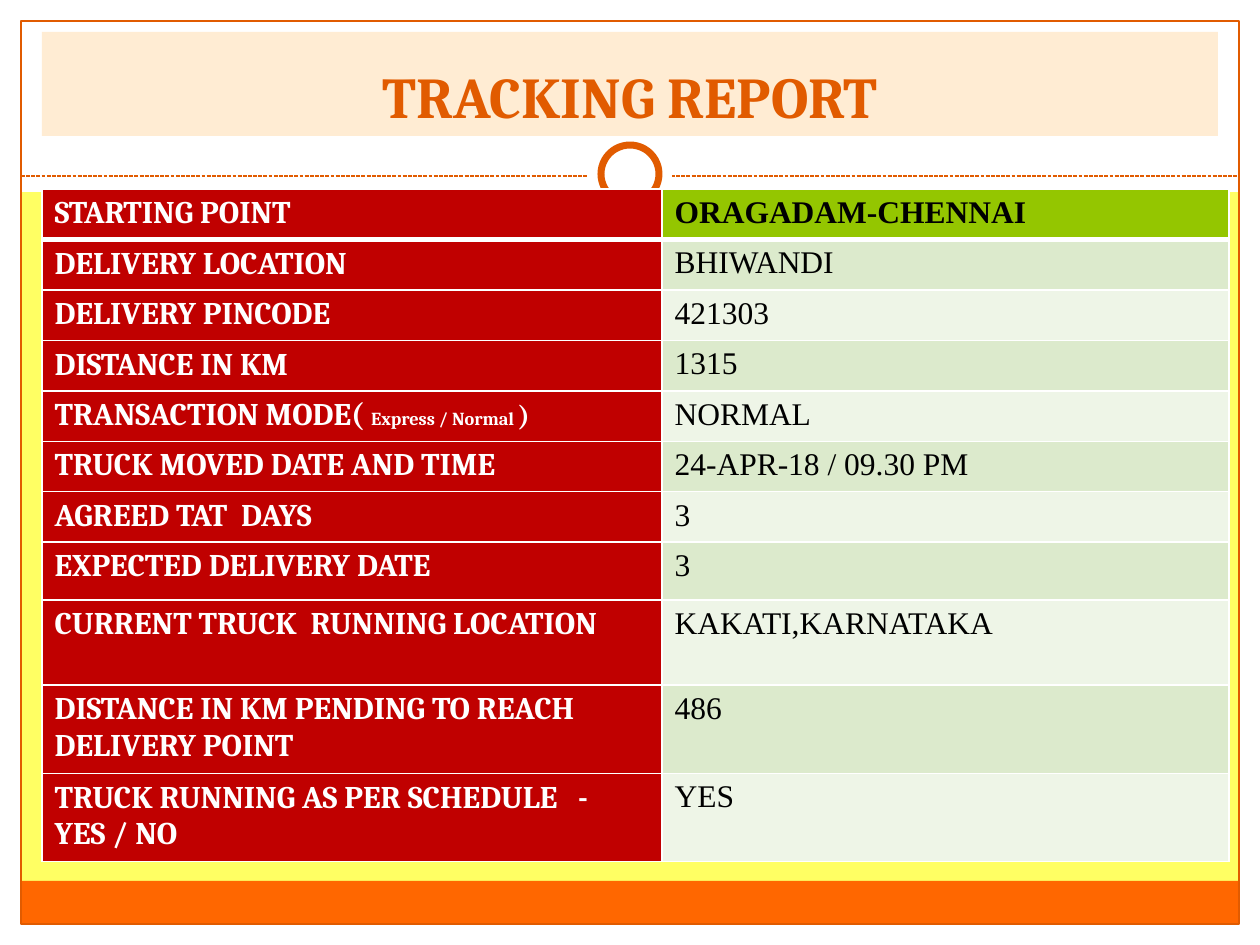
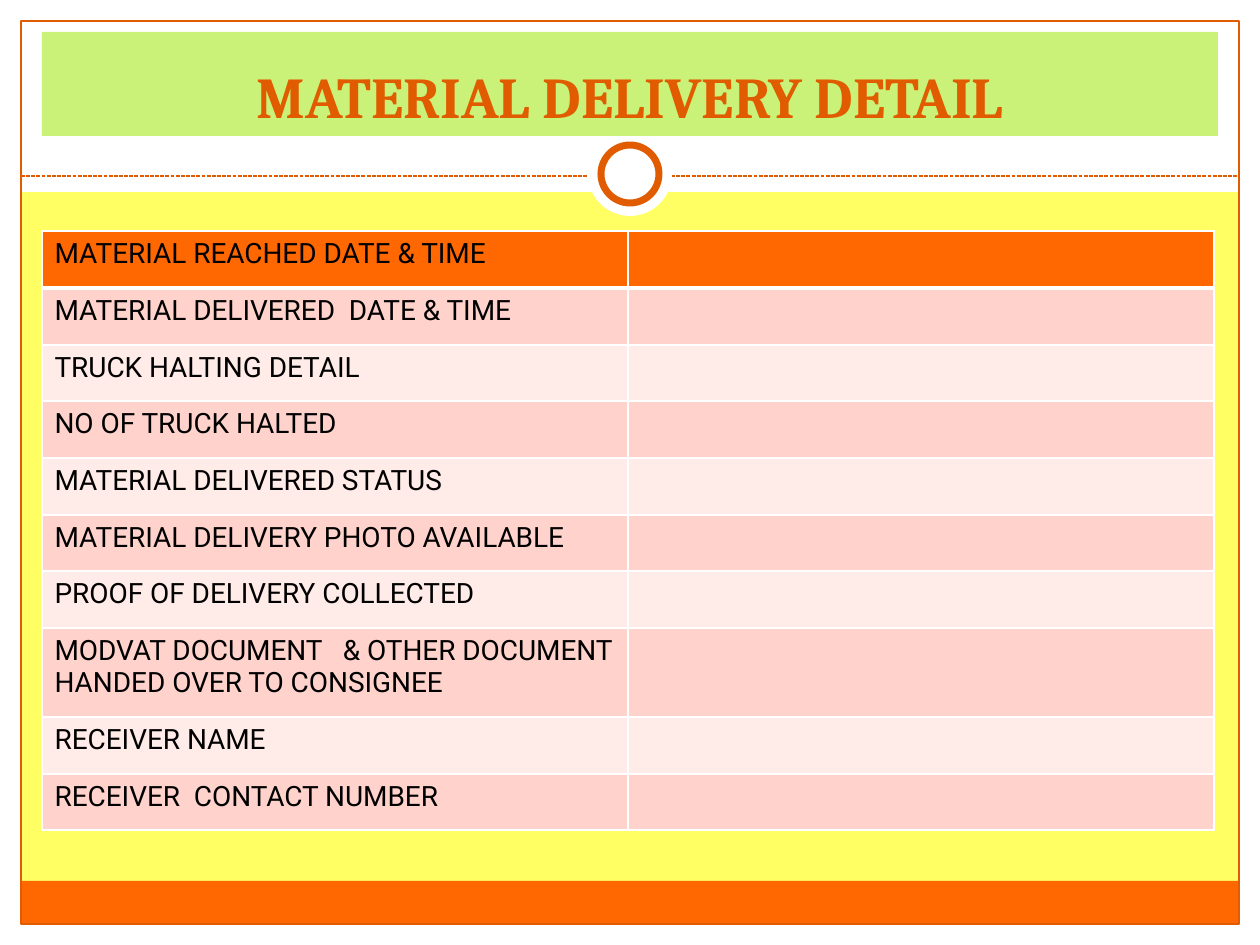
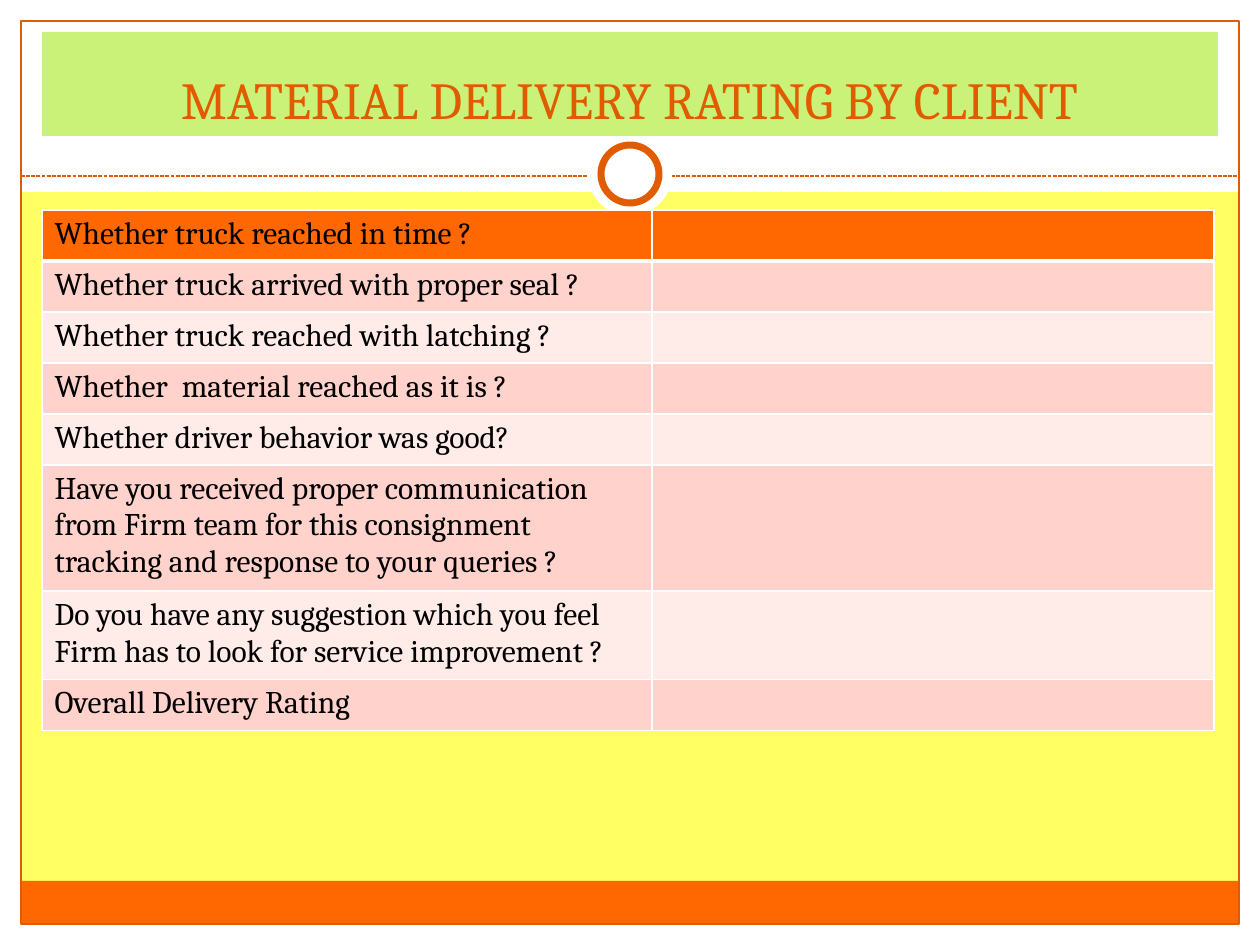
import pptx
import pptx.dml.color
import pptx.enum.dml
import pptx.enum.shapes
import pptx.enum.text
import pptx.oxml
import pptx.oxml.ns
import pptx.util
import lxml.etree

EMU_PER_PX = 914400 // 126
SLIDE_WIDTH, SLIDE_HEIGHT = 1260, 945
MARGIN = 21
HEADER_HEIGHT = 192
DIVIDER_TOP = 176
FOOTER_HEIGHT = 43
HALO_SIZE, RING_SIZE = 84, 58
TITLE_BOX = (42, 32, 1176, 104)

WHITE, BLACK, YELLOW = "FFFFFF", "000000", "FFFF63"
ORANGE, DARK_ORANGE, RED = "FF6700", "E15B00", "C00000"
PEACH, LIME, GREEN = "FFECD3", "CAF278", "94C600"
GREEN_BANDS = ("DCEACC", "EEF5E7")
PINK_BANDS = ("FFD3CC", "FFEBE7")

TRACKING_ROWS = [
    ("STARTING POINT", "ORAGADAM-CHENNAI"),
    ("DELIVERY LOCATION", "BHIWANDI"),
    ("DELIVERY PINCODE", "421303"),
    ("DISTANCE IN KM", "1315"),
    ([("TRANSACTION MODE( ", 18), ("Express / Normal ", 10.5), (")", 16)], "NORMAL"),
    ("TRUCK MOVED DATE AND TIME", "24-APR-18 / 09.30 PM"),
    ("AGREED TAT  DAYS", "3"),
    ("EXPECTED DELIVERY DATE", "3"),
    ("CURRENT TRUCK  RUNNING LOCATION", "KAKATI,KARNATAKA"),
    ("DISTANCE IN KM PENDING TO REACH DELIVERY POINT", "486"),
    ("TRUCK RUNNING AS PER SCHEDULE   -  YES / NO", "YES"),
]
DELIVERY_LABELS = [
    "MATERIAL REACHED DATE & TIME",
    "MATERIAL DELIVERED  DATE & TIME",
    "TRUCK HALTING DETAIL",
    "NO OF TRUCK HALTED",
    "MATERIAL DELIVERED STATUS",
    "MATERIAL DELIVERY PHOTO AVAILABLE",
    "PROOF OF DELIVERY COLLECTED",
    "MODVAT DOCUMENT   & OTHER DOCUMENT HANDED OVER TO CONSIGNEE",
    "RECEIVER NAME",
    "RECEIVER  CONTACT NUMBER",
]
RATING_LABELS = [
    "Whether truck reached in time ?",
    "Whether truck arrived with proper seal ?",
    "Whether truck reached with latching ?",
    "Whether  material reached as it is ?",
    "Whether driver behavior was good?",
    "Have you received proper communication from Firm team for this consignment  "
    "tracking and response to your queries ?",
    "Do you have any suggestion which you feel Firm has to look for service improvement ?",
    "Overall Delivery Rating",
]


def px(length):
    """Turn whole pixels into EMU."""
    return pptx.util.Emu(length * EMU_PER_PX)


def rgb(color):
    """Turn a hex string into a colour."""
    return pptx.dml.color.RGBColor.from_string(color)


def write_text(frame, text, size=18, font="Cambria", color=BLACK, bold=False, align=None):
    """Write a string, or a list of (string, size) runs, as one paragraph."""
    frame.word_wrap = True
    paragraph = frame.paragraphs[0]
    paragraph.alignment = align
    for words, points in [(text, size)] if isinstance(text, str) else text:
        run = paragraph.add_run()
        run.text = words
        run.font.size = pptx.util.Pt(points)
        run.font.name = font
        run.font.bold = bold
        run.font.color.rgb = rgb(color)


def add_figure(slide, box, preset="RECTANGLE", fill=None, line=None, width=0.75):
    """Add a preset shape with an optional fill and outline."""
    kind = getattr(pptx.enum.shapes.MSO_SHAPE, preset)
    shape = slide.shapes.add_shape(kind, *map(px, box))
    shape.shadow.inherit = False
    if fill:
        shape.fill.solid()
        shape.fill.fore_color.rgb = rgb(fill)
    else:
        shape.fill.background()
    if line:
        shape.line.color.rgb = rgb(line)
        shape.line.width = pptx.util.Pt(width)
    else:
        shape.line.fill.background()
    return shape


def add_divider(slide, left, right, top):
    """Add the dashed line under the title."""
    straight = pptx.enum.shapes.MSO_CONNECTOR.STRAIGHT
    connector = slide.shapes.add_connector(straight, px(left), px(top), px(right), px(top))
    connector.line.color.rgb = rgb(DARK_ORANGE)
    connector.line.width = pptx.util.Pt(0.75)
    connector.line.dash_style = pptx.enum.dml.MSO_LINE.SQUARE_DOT
    lxml.etree.SubElement(connector._element.spPr, pptx.oxml.ns.qn("a:effectLst"))


def add_medallion(slide, center_x, center_y):
    """Add the ring and its white halo around a centre."""
    for size, line in ((HALO_SIZE, None), (RING_SIZE, DARK_ORANGE)):
        box = (center_x - size // 2, center_y - size // 2, size, size)
        add_figure(slide, box, "OVAL", WHITE, line, 4)


def add_backdrop(slide, width, height):
    """Add the background, bands, frame and medallion every slide shares."""
    slide.background.fill.solid()
    slide.background.fill.fore_color.rgb = rgb(YELLOW)
    right, bottom = width - MARGIN, height - MARGIN
    for box in (
        (0, bottom, width, MARGIN),
        (0, 0, width, HEADER_HEIGHT),
        (0, 0, MARGIN, height),
        (right, 0, MARGIN, height),
    ):
        add_figure(slide, box, fill=WHITE)
    inner_width = right - MARGIN
    add_figure(slide, (MARGIN, bottom - FOOTER_HEIGHT, inner_width, FOOTER_HEIGHT), fill=ORANGE)
    add_figure(slide, (MARGIN, MARGIN, inner_width, bottom - MARGIN), line=DARK_ORANGE)
    add_divider(slide, MARGIN, right, DIVIDER_TOP)
    add_medallion(slide, width // 2, DIVIDER_TOP - 2)


def add_title(slide, box, text, fill, size=33, bold=True):
    """Add the filled title bar."""
    shape = slide.shapes.add_textbox(*map(px, box))
    shape.fill.solid()
    shape.fill.fore_color.rgb = rgb(fill)
    shape.text_frame.vertical_anchor = pptx.enum.text.MSO_ANCHOR.BOTTOM
    write_text(shape.text_frame, text, size=size, color=DARK_ORANGE, bold=bold,
               align=pptx.enum.text.PP_ALIGN.CENTER)


def set_borders(cell, **widths):
    """Give a cell white borders with point widths for sides L, R, T and B."""
    properties = cell._tc.get_or_add_tcPr()
    for index, (side, width) in enumerate(widths.items()):
        properties.insert(index, pptx.oxml.parse_xml(
            f'<a:ln{side} {pptx.oxml.ns.nsdecls("a")} w="{pptx.util.Pt(width)}">'
            f'<a:solidFill><a:srgbClr val="{WHITE}"/></a:solidFill></a:ln{side}>'))


def add_grid(slide, left, top, columns, heights, rows, fills, formats):
    """Add a table; fills and formats give each cell's look by row and column."""
    graphic = slide.shapes.add_table(len(rows), len(columns), px(left), px(top),
                                     px(sum(columns)), px(sum(heights)))
    table = graphic.table
    table.first_row = table.horz_banding = False
    for column, width in zip(table.columns, columns):
        column.width = px(width)
    for row_index, (values, height) in enumerate(zip(rows, heights)):
        table.rows[row_index].height = px(height)
        for column_index, value in enumerate(values):
            cell = table.cell(row_index, column_index)
            cell.fill.solid()
            cell.fill.fore_color.rgb = rgb(fills(row_index, column_index))
            set_borders(cell, L=1, R=1, T=3 if row_index == 1 else 1,
                        B=3 if row_index == 0 else 1)
            if value:
                write_text(cell.text_frame, value, **formats(row_index, column_index))


def tracking_fill(row, column):
    """Pick red for labels, and green bands under a green header for values."""
    if column == 0:
        return RED
    return GREEN_BANDS[(row - 1) % 2] if row else GREEN


def tracking_format(row, column):
    """Pick the text format for the tracking table."""
    if column == 0:
        return {"color": WHITE, "bold": True}
    return {"font": "Times New Roman", "bold": row == 0}


def form_fill(row, column):
    """Pick pink bands under an orange header."""
    return PINK_BANDS[(row - 1) % 2] if row else ORANGE


def add_form(slide, left, top, columns, heights, labels, **text_format):
    """Add a form table with labels and empty answer cells."""
    rows = [(label, "") for label in labels]
    add_grid(slide, left, top, columns, heights, rows, form_fill,
             lambda row, column: text_format)


def add_page(presentation, title, fill, **title_format):
    """Add a blank slide with the shared backdrop and a title."""
    slide = presentation.slides.add_slide(presentation.slide_layouts[6])
    add_backdrop(slide, SLIDE_WIDTH, SLIDE_HEIGHT)
    add_title(slide, TITLE_BOX, title, fill, **title_format)
    return slide


def main():
    """Build the three slides and save them."""
    presentation = pptx.Presentation()
    presentation.slide_width = pptx.util.Inches(10)
    presentation.slide_height = pptx.util.Inches(7.5)

    tracking = add_page(presentation, "TRACKING REPORT", PEACH)
    add_grid(tracking, 42, 189, (620, 567), [49] * 7 + [58, 85, 85, 86],
             TRACKING_ROWS, tracking_fill, tracking_format)

    delivery = add_page(presentation, "MATERIAL DELIVERY DETAIL", LIME)
    add_form(delivery, 42, 231, (586, 586), [57, 57, 56] * 2 + [57, 89, 57, 56],
             DELIVERY_LABELS, size=16, font="Roboto")

    rating = add_page(presentation, "MATERIAL DELIVERY RATING BY CLIENT", LIME,
                      size=29.7, bold=False)
    add_form(rating, 42, 210, (610, 562), [51] * 5 + [121, 86, 51], RATING_LABELS)

    presentation.save("out.pptx")


if __name__ == "__main__":
    main()
